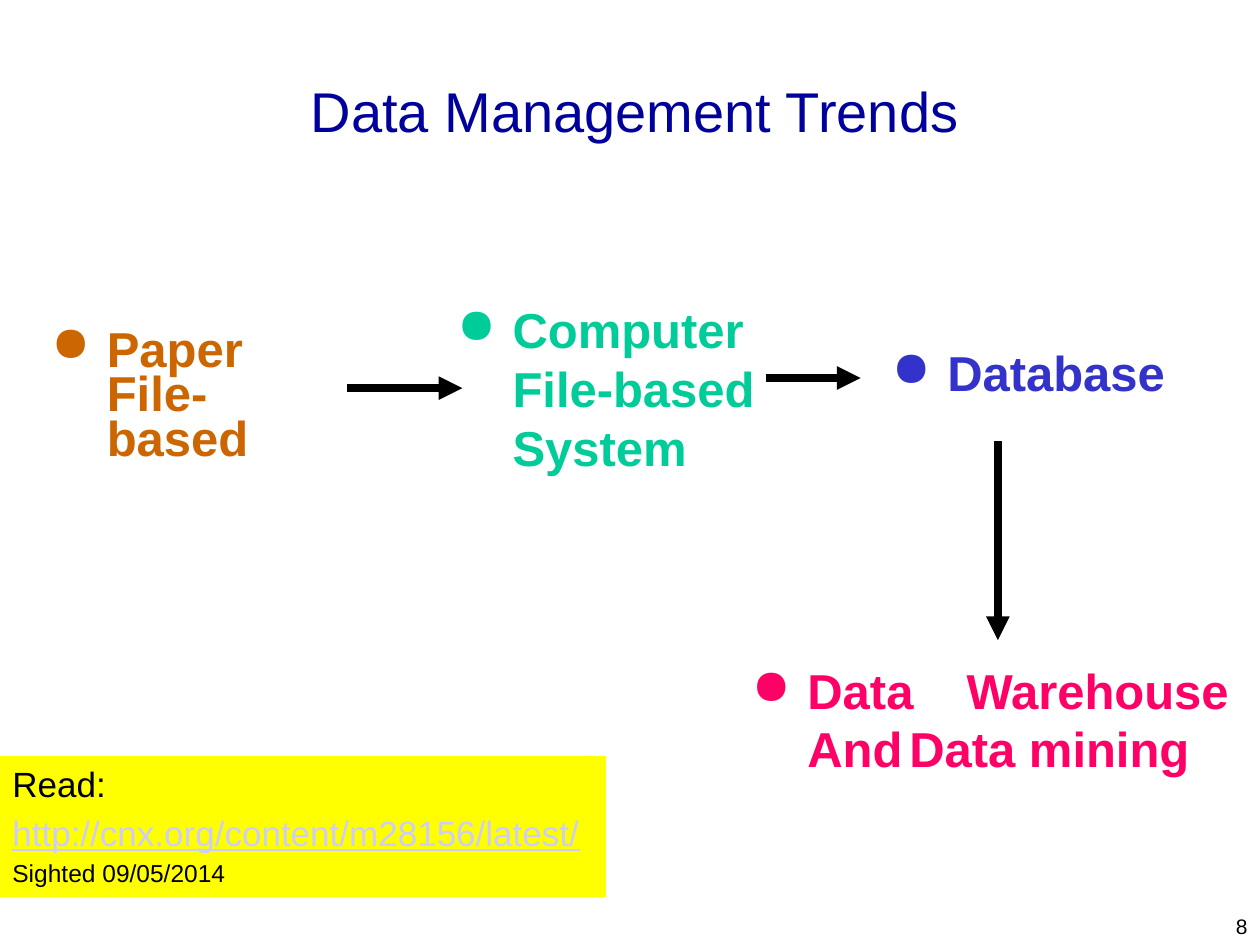
from lxml import etree
from pptx import Presentation
from pptx.dml.color import RGBColor
from pptx.enum.shapes import MSO_CONNECTOR, MSO_SHAPE
from pptx.enum.text import MSO_ANCHOR, PP_ALIGN
from pptx.oxml.ns import qn
from pptx.util import Inches, Pt

STRAIGHT = MSO_CONNECTOR.STRAIGHT
RECTANGLE = MSO_SHAPE.RECTANGLE
MIDDLE, TOP = MSO_ANCHOR.MIDDLE, MSO_ANCHOR.TOP
LEFT, CENTER = PP_ALIGN.LEFT, PP_ALIGN.CENTER
RIGHT, JUSTIFY = PP_ALIGN.RIGHT, PP_ALIGN.JUSTIFY

NAVY = RGBColor(0x00, 0x00, 0x9C)
BLACK = RGBColor(0x00, 0x00, 0x00)
ORANGE = RGBColor(0xCC, 0x66, 0x00)
GREEN = RGBColor(0x00, 0xCC, 0x99)
BLUE = RGBColor(0x33, 0x33, 0xCC)
PINK = RGBColor(0xFF, 0x00, 0x66)
YELLOW = RGBColor(0xFF, 0xFF, 0x00)
LAVENDER = RGBColor(0xCC, 0xCC, 0xFF)

STAGES = [
    ((0.25, 2.59, 2.5, 1.16), ORANGE, JUSTIFY, 0.75, ["Paper", "File-based"]),
    ((3.47, 2.33, 2.74, 1.52), GREEN, LEFT, None, ["Computer", "File-based", "System"]),
    ((6.92, 2.67, 2.5, 0.57), BLUE, LEFT, None, ["Database"]),
    ((5.81, 5.19, 4.04, 1.04), PINK, JUSTIFY, None, ["Data Warehouse And", "Data mining"]),
]
ARROWS = [
    ((2.75, 3.08), (3.67, 3.08)),
    ((6.08, 3), (6.83, 3)),
    ((7.92, 3.5), (7.92, 5.08)),
]
READING = [
    ("Read:", 20, BLACK, 0),
    ("http://cnx.org/content/m28156/latest/", 20, LAVENDER, 4),
    ("Sighted 09/05/2014", 14, BLACK, 2.8),
]


def to_lengths(values):
    """Turn plain numbers into inch lengths."""
    return [Inches(value) for value in values]


def add_span(para, text, size, color, bold=False):
    """Add one formatted run to a paragraph."""
    span = para.add_run()
    span.text = text
    span.font.name = "Arial"
    span.font.size = Pt(size)
    span.font.bold = bold
    span.font.color.rgb = color
    return span


def add_bullet(para, color):
    """Give a paragraph a hanging round bullet."""
    properties = para._p.get_or_add_pPr()
    properties.set("marL", str(Inches(0.5)))
    properties.set("indent", str(Inches(-0.44)))
    bullet_color = etree.SubElement(properties, qn("a:buClr"))
    etree.SubElement(bullet_color, qn("a:srgbClr"), val=str(color))
    etree.SubElement(properties, qn("a:buChar"), char="●")


def add_title(page, place):
    """Fill and place the title."""
    box = page.shapes.title
    box.left, box.top, box.width, box.height = to_lengths(place)
    box.text_frame.vertical_anchor = MIDDLE
    para = box.text_frame.paragraphs[0]
    para.alignment = CENTER
    add_span(para, "Data Management Trends", 32, NAVY)


def add_stage(page, place, color, alignment, spacing, phrases):
    """Add one bulleted stage of the trend."""
    box = page.shapes.add_textbox(*to_lengths(place))
    box.text_frame.word_wrap = True
    para = box.text_frame.paragraphs[0]
    add_bullet(para, color)
    para.alignment = alignment
    if spacing:
        para.line_spacing = spacing
    for index, phrase in enumerate(phrases):
        if index:
            add_span(para, " ", 14, BLACK)
        add_span(para, phrase, 28, color, bold=True)


def add_arrow(page, start, end):
    """Add a thick arrow between two points."""
    arrow = page.shapes.add_connector(STRAIGHT, *to_lengths(start + end))
    arrow.line.color.rgb = BLACK
    arrow.line.width = Pt(4.5)
    etree.SubElement(arrow.line._get_or_add_ln(), qn("a:tailEnd"), type="triangle")
    etree.SubElement(arrow._element.spPr, qn("a:effectLst"))


def add_reading(page, place):
    """Add the highlighted reading reference."""
    box = page.shapes.add_shape(RECTANGLE, *to_lengths(place))
    box.shadow.inherit = False
    box.fill.solid()
    box.fill.fore_color.rgb = YELLOW
    box.line.fill.background()
    frame = box.text_frame
    frame.word_wrap = True
    frame.vertical_anchor = TOP
    for index, (text, size, color, before) in enumerate(READING):
        para = frame.add_paragraph() if index else frame.paragraphs[0]
        para.alignment = LEFT
        para.space_before = Pt(before)
        span = add_span(para, text, size, color)
        span.font.underline = color == LAVENDER


def add_page_number(page, place):
    """Add the page number in the corner."""
    box = page.shapes.add_textbox(*to_lengths(place))
    box.text_frame.word_wrap = True
    para = box.text_frame.paragraphs[0]
    para.alignment = RIGHT
    add_span(para, "8", 12, BLACK)


def main():
    """Build and save the deck."""
    deck = Presentation()
    deck.slide_width, deck.slide_height = to_lengths((10, 7.5))
    page = deck.slides.add_slide(deck.slide_layouts[5])
    add_page_number(page, (9.42, 7.2, 0.58, 0.3))
    add_title(page, (0.5, 0.33, 9.08, 1.08))
    for stage in STAGES:
        add_stage(page, *stage)
    for start, end in ARROWS:
        add_arrow(page, start, end)
    add_reading(page, (0, 6, 4.81, 1.12))
    deck.save("out.pptx")


if __name__ == "__main__":
    main()
